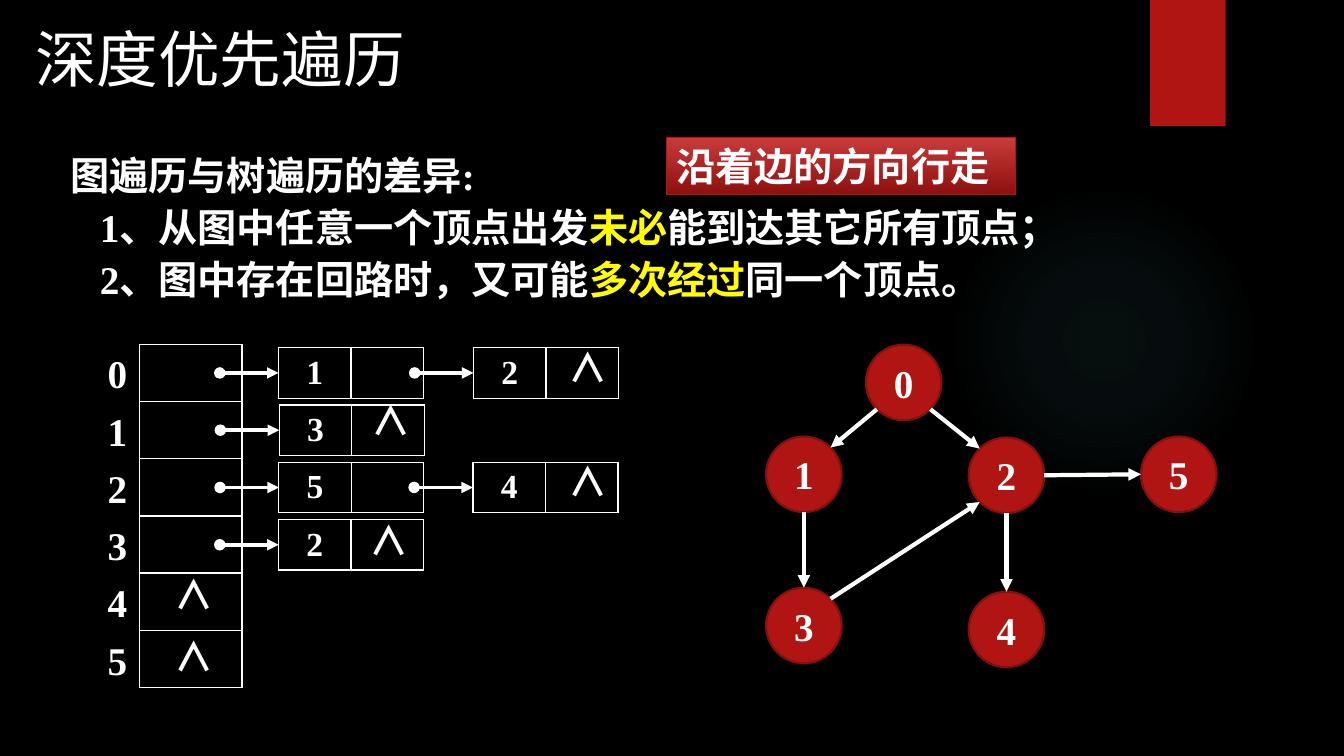
import math
from dataclasses import dataclass
from typing import Any

import pptx
import pptx.dml.color
import pptx.enum.shapes
import pptx.enum.text
import pptx.oxml
import pptx.oxml.ns
import pptx.util

Pt = pptx.util.Pt
Shapes = pptx.enum.shapes.MSO_SHAPE
Anchor = pptx.enum.text.MSO_ANCHOR
Align = pptx.enum.text.PP_ALIGN

WHITE, YELLOW, RED, DARK_RED = "FFFFFF", "FFFF00", "B01513", "82100E"
SERIF, SANS, DISPLAY = "Times New Roman", "Noto Sans CJK SC", "League Spartan"
NAMESPACE = 'xmlns:a="http://schemas.openxmlformats.org/drawingml/2006/main"'
ROW_PITCH, CELL_WIDTH, CELL_HEIGHT = 40.9, 51.8, 36
LIST_TOP, ARROW_LENGTH, NODE_SIZE = 248.4, 42, 54


@dataclass
class Span:
    text: str
    color: str = WHITE


@dataclass
class ListCell:
    row: int
    left: float
    value: str
    linked: bool


@dataclass
class Node:
    name: str
    left: float
    top: float

    def rim(self, angle: float) -> tuple[float, float]:
        radius = NODE_SIZE / 2
        turn = math.radians(angle)
        return (self.left + radius + radius * math.cos(turn),
                self.top + radius + radius * math.sin(turn))


@dataclass
class Edge:
    start: int
    start_angle: float
    end: int
    end_angle: float


BODY = [
    (0, [Span("图遍历与树遍历的差异:")]),
    (21, [Span("1、从图中任意一个顶点出发"), Span("未必", YELLOW), Span("能到达其它所有顶点；")]),
    (21, [Span("2、图中存在回路时，又可能"), Span("多次经过", YELLOW), Span("同一个顶点。")]),
]
LIST_CELLS = [
    ListCell(0, 199, "1", True), ListCell(0, 338.2, "2", False),
    ListCell(1, 199.4, "3", False),
    ListCell(2, 199.2, "5", True), ListCell(2, 337.8, "4", False),
    ListCell(3, 199, "2", False),
]
CARETS = [(398.9, 241.9), (258.5, 279.4), (398.9, 323.3),
          (257, 365), (117.4, 403.9), (117.4, 447.8)]
NODES = [Node("0", 618.5, 246.2), Node("1", 547.2, 311.8), Node("2", 691.9, 312.5),
         Node("3", 547.2, 419.8), Node("4", 691.9, 422.6), Node("5", 815, 311.8)]
EDGES = [Edge(0, 135, 1, -45), Edge(0, 45, 2, -135), Edge(1, 90, 3, -90),
         Edge(3, -45, 2, 135), Edge(2, 0, 5, 180), Edge(2, 90, 4, -90)]


def rgb(value: str) -> pptx.dml.color.RGBColor:
    return pptx.dml.color.RGBColor.from_string(value)


def apply(target: Any, values: dict[str, Any]) -> None:
    for name, value in values.items():
        setattr(target, name, value)


def write(para: Any, spans: list[Span], size: float, font: str = SERIF, bold: bool = True) -> None:
    for item in spans:
        span = para.add_run()
        span.text = item.text
        apply(span.font, {"size": Pt(size), "bold": bold, "name": font})
        span.font.color.rgb = rgb(item.color)
        east_asian = pptx.oxml.parse_xml(f'<a:ea {NAMESPACE} typeface="{SANS}"/>')
        span.font._element.find(pptx.oxml.ns.qn("a:latin")).addnext(east_asian)


def add_text(page: Any, left: float, top: float, width: float, height: float) -> Any:
    box = page.shapes.add_textbox(Pt(left), Pt(top), Pt(width), Pt(height))
    box.text_frame.word_wrap = True
    return box.text_frame


def add_shape(page: Any, kind: Any, left: float, top: float, width: float, height: float) -> Any:
    shape = page.shapes.add_shape(kind, Pt(left), Pt(top), Pt(width), Pt(height))
    shape.shadow.inherit = False
    return shape


def paint(shape: Any, fill: str) -> None:
    shape.fill.solid()
    shape.fill.fore_color.rgb = rgb(fill)


def add_glow(page: Any) -> None:
    glow = add_shape(page, Shapes.OVAL, 677.5, 131.8, 221.8, 221.8)
    glow.line.fill.background()
    stops = "".join(
        f'<a:gs pos="{place * 1000}"><a:srgbClr val="50B9C1">'
        f'<a:alpha val="{alpha * 1000}"/></a:srgbClr></a:gs>'
        for place, alpha in [(0, 7), (36, 6), (69, 0), (100, 0)])
    glow._element.spPr.find(pptx.oxml.ns.qn("a:prstGeom")).addnext(pptx.oxml.parse_xml(
        f'<a:gradFill {NAMESPACE}><a:gsLst>{stops}</a:gsLst><a:path path="circle">'
        '<a:fillToRect l="50000" t="50000" r="50000" b="50000"/></a:path></a:gradFill>'))


def add_grid(page: Any, left: float, top: float, widths: list[float], heights: list[float]) -> Any:
    frame = page.shapes.add_table(len(heights), len(widths), Pt(left), Pt(top),
                                  Pt(sum(widths)), Pt(sum(heights)))
    table = frame.table
    apply(table, {"first_row": False, "horz_banding": False})
    for column, width in zip(table.columns, widths):
        column.width = Pt(width)
    for row, height in zip(table.rows, heights):
        row.height = Pt(height)
    for cell in table.iter_cells():
        cell.vertical_anchor = Anchor.MIDDLE
        for side in ("lnL", "lnR", "lnT", "lnB"):
            cell._tc.get_or_add_tcPr().append(pptx.oxml.parse_xml(
                f'<a:{side} {NAMESPACE} w="{Pt(1)}"><a:solidFill>'
                f'<a:srgbClr val="{WHITE}"/></a:solidFill></a:{side}>'))
        cell.fill.background()
    return table


def add_arrow(page: Any, start: tuple[float, float], end: tuple[float, float],
              width: float, head: str = "none") -> None:
    arrow = page.shapes.add_connector(pptx.enum.shapes.MSO_CONNECTOR.STRAIGHT,
                                      *(Pt(value) for value in (*start, *end)))
    arrow.line.color.rgb = rgb(WHITE)
    arrow.line.width = Pt(width)
    outline = arrow.line._get_or_add_ln()
    for tag, kind in (("headEnd", head), ("tailEnd", "triangle")):
        outline.append(pptx.oxml.parse_xml(f'<a:{tag} {NAMESPACE} type="{kind}"/>'))
    arrow._element.spPr.append(pptx.oxml.parse_xml(f"<a:effectLst {NAMESPACE}/>"))


def add_adjacency_list(page: Any) -> None:
    add_grid(page, 99.4, 246.2, [73.4], [40.8] * 6)
    for index in range(6):
        label = add_text(page, 69.8, 246.2 + index * ROW_PITCH, 71.3, 41)
        write(label.paragraphs[0], [Span(str(index))], 28)
    for item in LIST_CELLS:
        top = LIST_TOP + item.row * ROW_PITCH
        middle = top + CELL_HEIGHT / 2
        table = add_grid(page, item.left, top, [CELL_WIDTH] * 2, [CELL_HEIGHT])
        para = table.cell(0, 0).text_frame.paragraphs[0]
        para.alignment = Align.CENTER
        write(para, [Span(item.value)], 24)
    for item in LIST_CELLS:
        middle = LIST_TOP + item.row * ROW_PITCH + CELL_HEIGHT / 2
        add_arrow(page, (item.left - ARROW_LENGTH, middle), (item.left, middle), 2.75, "oval")
    for left, top in CARETS:
        caret = add_text(page, left, top, 42.4, 41)
        caret.word_wrap = False
        write(caret.paragraphs[0], [Span("∧")], 28, SANS)


def add_graph(page: Any) -> None:
    for node in NODES:
        circle = add_shape(page, Shapes.OVAL, node.left, node.top, NODE_SIZE, NODE_SIZE)
        paint(circle, RED)
        circle.line.color.rgb = rgb(DARK_RED)
        circle.line.width = Pt(1.5)
        circle.text_frame.vertical_anchor = Anchor.MIDDLE
        para = circle.text_frame.paragraphs[0]
        para.alignment = Align.CENTER
        write(para, [Span(node.name)], 28)
    for edge in EDGES:
        add_arrow(page, NODES[edge.start].rim(edge.start_angle),
                  NODES[edge.end].rim(edge.end_angle), 3)


def add_callout(page: Any) -> None:
    callout = add_shape(page, Shapes.RECTANGLE, 475.9, 97.9, 249.8, 41)
    callout.fill.gradient()
    callout.fill.gradient_angle = 270
    for stop, color in zip(callout.fill.gradient_stops, ("C93B3A", "8D110F")):
        stop.color.rgb = rgb(color)
    callout.line.color.rgb = rgb(RED)
    callout.line.width = Pt(0.75)
    callout.text_frame.vertical_anchor = Anchor.TOP
    para = callout.text_frame.paragraphs[0]
    para.alignment = Align.LEFT
    write(para, [Span("沿着边的方向行走")], 28, DISPLAY)


def main() -> None:
    deck = pptx.Presentation()
    apply(deck, {"slide_width": Pt(960), "slide_height": Pt(540)})
    page = deck.slides.add_slide(deck.slide_layouts[6])
    paint(page.background, "000000")
    add_glow(page)
    ribbon = add_shape(page, Shapes.RECTANGLE, 821.5, 0, 54, 90)
    paint(ribbon, RED)
    ribbon.line.fill.background()
    body = add_text(page, 43.2, 101.5, 812.9, 156.2)
    for index, (indent, spans) in enumerate(BODY):
        para = body.add_paragraph() if index else body.paragraphs[0]
        para.line_spacing = 1.1
        para._p.get_or_add_pPr().set("marL", str(Pt(indent)))
        write(para, spans, 28)
    title = add_text(page, 18, 11.5, 740.9, 110.2)
    write(title.paragraphs[0], [Span("深度优先遍历")], 44, bold=False)
    add_adjacency_list(page)
    add_graph(page)
    add_callout(page)
    deck.save("out.pptx")


if __name__ == "__main__":
    main()
